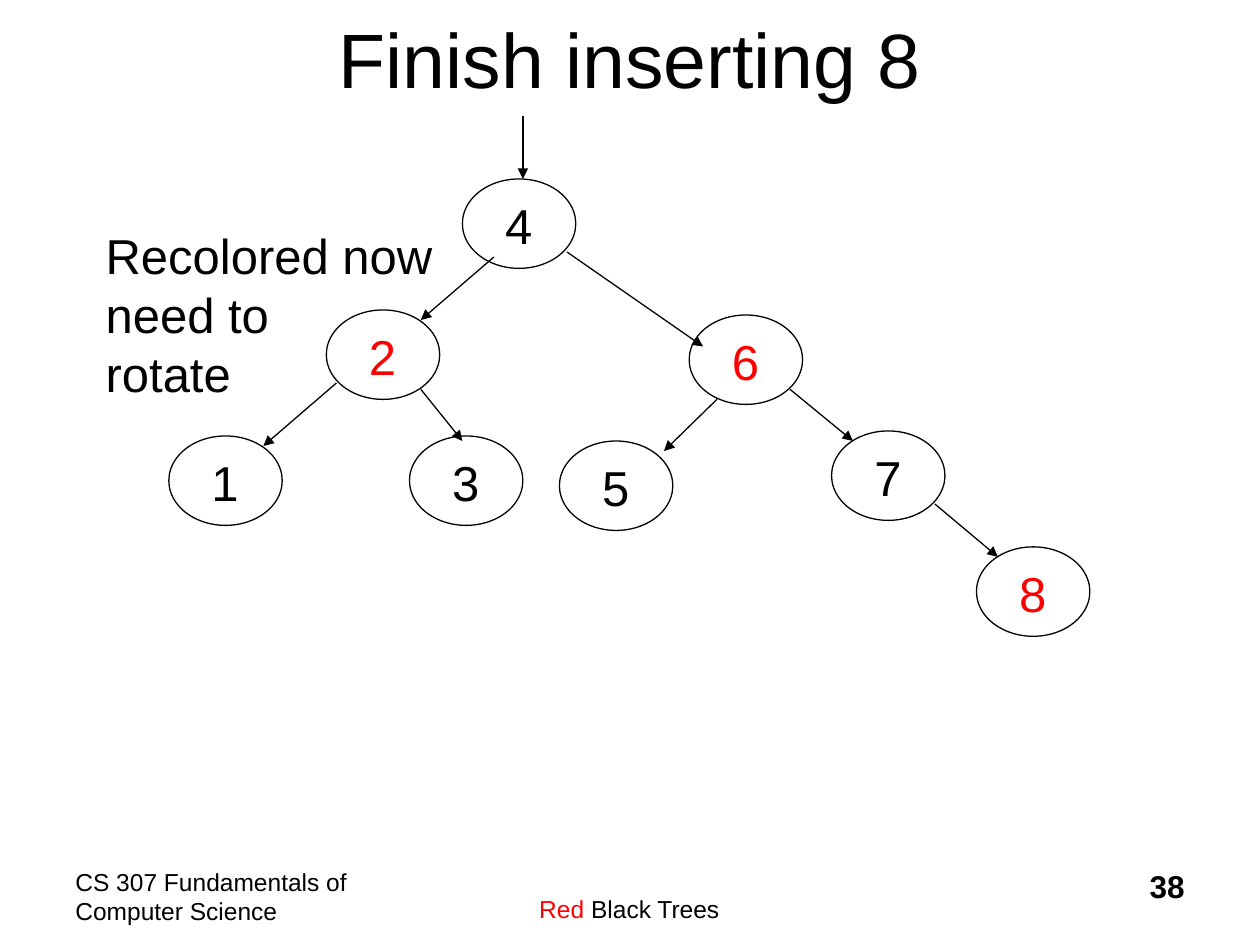
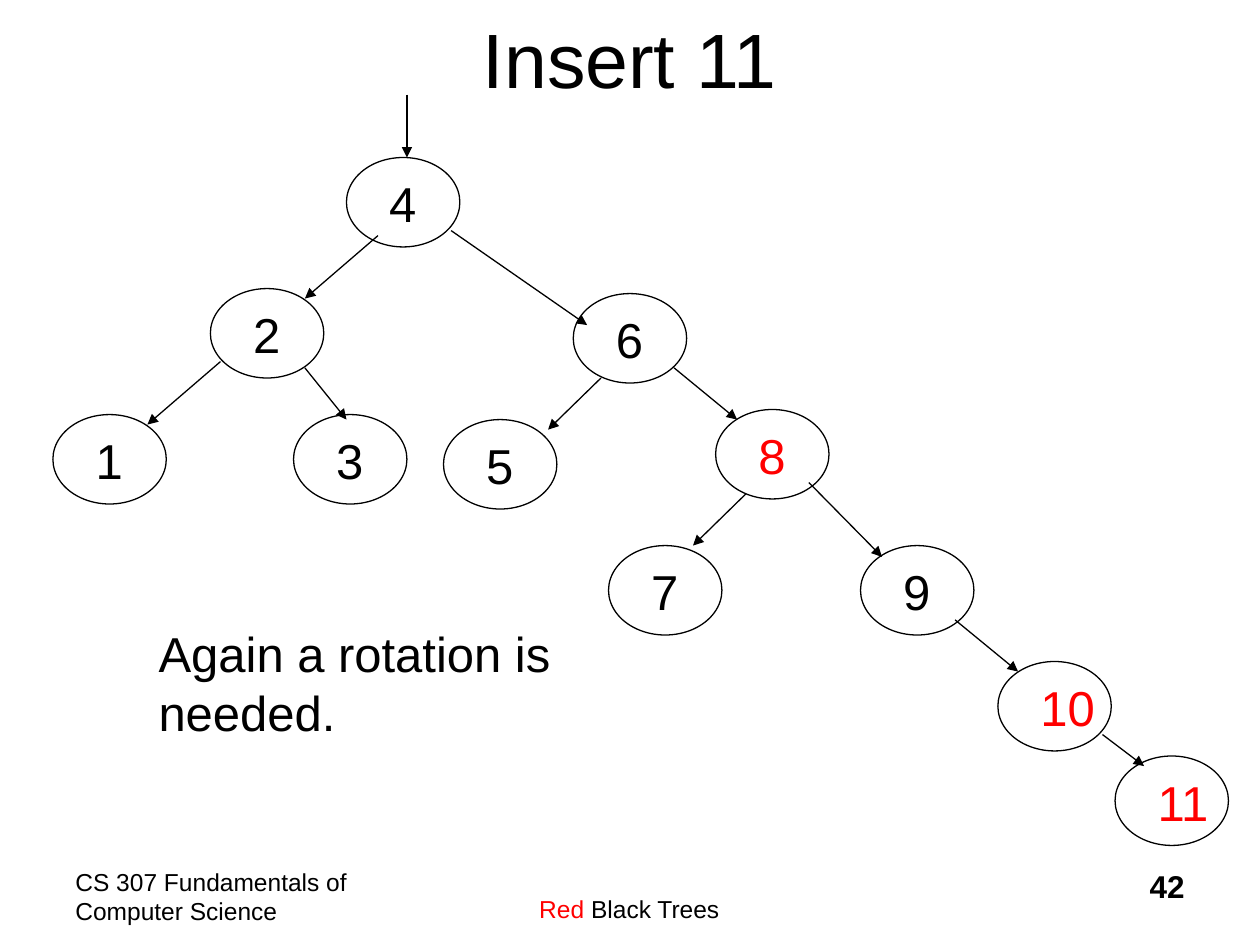
from pptx import Presentation
from pptx.dml.color import RGBColor
from pptx.enum.shapes import MSO_CONNECTOR, MSO_SHAPE
from pptx.enum.text import MSO_ANCHOR, MSO_AUTO_SIZE, PP_ALIGN
from pptx.oxml.ns import qn
from pptx.util import Inches, Pt
from lxml import etree

BLACK = RGBColor(0x00, 0x00, 0x00)
RED = RGBColor(0xFF, 0x00, 0x00)
FONT = "Arial"
LINE_WIDTH = Pt(0.75)
LEFT, CENTER, RIGHT = PP_ALIGN.LEFT, PP_ALIGN.CENTER, PP_ALIGN.RIGHT
TOP, MIDDLE, BOTTOM = MSO_ANCHOR.TOP, MSO_ANCHOR.MIDDLE, MSO_ANCHOR.BOTTOM
NO_FIT, GROW = MSO_AUTO_SIZE.NONE, MSO_AUTO_SIZE.SHAPE_TO_FIT_TEXT
ELLIPSE, STRAIGHT = MSO_SHAPE.OVAL, MSO_CONNECTOR.STRAIGHT
TITLE_ONLY = 5

NODE_SIZE = (0.9, 0.71)
LABEL_OFFSET = (0.24, 0.08)
LABEL_WIDTHS = {1: 0.41, 2: 0.63}
LABEL_HEIGHT = 0.57

SHARED_NODES = {"4": (0, 0), "2": (-1.08, 1.04), "3": (-0.42, 2.04),
                "6": (1.8, 1.08), "5": (0.77, 2.08), "1": (-2.33, 2.04)}
RIGHT_GRANDCHILD = (2.93, 2)
SHARED_EDGES = [
    (0.48, -0.5, 0.48, 0),
    (0.25, 0.62, -0.33, 1.12),
    (0.83, 0.58, 1.91, 1.33),
    (2.02, 1.75, 1.6, 2.16),
    (2.6, 1.67, 3.1, 2.08),
    (-1, 1.62, -1.58, 2.12),
    (-0.33, 1.67, 0, 2.08),
]

SLIDES = [
    {
        "title": "Finish inserting 8",
        "number": "38",
        "root": (3.67, 1.42),
        "nodes": {"7": RIGHT_GRANDCHILD, "8": (4.08, 2.92)},
        "edges": [(3.75, 2.58, 4.25, 3)],
        "red": {"2", "6", "8"},
        "note": ["Recolored now", "need to", "rotate"],
        "note_box": (0.74, 1.74, 2.79, 1.5),
    },
    {
        "title": "Insert 11",
        "number": "42",
        "root": (2.75, 1.25),
        "nodes": {"8": RIGHT_GRANDCHILD, "7": (2.08, 3.08), "9": (4.08, 3.08),
                  "10": (5.17, 4), "11": (6.1, 4.75)},
        "edges": [(3.17, 2.67, 2.75, 3.08), (3.67, 2.58, 4.25, 3.17),
                  (4.83, 3.67, 5.33, 4.08), (6, 4.58, 6.33, 4.83)],
        "red": {"8", "10", "11"},
        "note": ["Again a rotation is", "needed."],
        "note_box": (1.16, 4.9, 3.31, 1.04),
    },
]


def inches(*lengths):
    """Convert numbers to lengths in inches."""
    return [Inches(length) for length in lengths]


def format_run(run, size, color=BLACK, bold=False):
    """Give a run its font, size and colour."""
    run.font.name = FONT
    run.font.size = Pt(size)
    run.font.bold = bold
    run.font.color.rgb = color


def add_text(shapes, box, pieces, size, align=LEFT, bold=False):
    """Add a wrapping text box with one paragraph of (text, colour) pieces."""
    textbox = shapes.add_textbox(*inches(*box))
    frame = textbox.text_frame
    frame.word_wrap = True
    frame.auto_size = NO_FIT
    frame.vertical_anchor = TOP
    paragraph = frame.paragraphs[0]
    paragraph.alignment = align
    for text, color in pieces:
        run = paragraph.add_run()
        run.text = text
        format_run(run, size, color, bold)
    return frame


def add_growing_text(shapes, box, lines, color=BLACK):
    """Add unwrapped 28-point lines in a box that grows with them."""
    frame = add_text(shapes, box, [(lines[0], color)], 28)
    frame.word_wrap = False
    frame.auto_size = GROW
    paragraph = frame.paragraphs[0]
    paragraph.space_before = Pt(7)
    for line in lines[1:]:
        paragraph.add_line_break()
        run = paragraph.add_run()
        run.text = line
        format_run(run, 28, color)


def add_title(slide, text):
    """Fill and place the title placeholder."""
    title = slide.shapes.title
    title.left, title.top, title.width, title.height = inches(0.75, -0.17, 8.5, 1.25)
    frame = title.text_frame
    frame.text = text
    frame.auto_size = NO_FIT
    frame.vertical_anchor = MIDDLE
    frame.paragraphs[0].alignment = CENTER
    format_run(frame.paragraphs[0].runs[0], 44)


def add_footer(slide, number, top=6.83, height=0.5):
    """Add the course, the topic and the slide number along the bottom."""
    add_text(slide.shapes, (0.5, top, 2.5, height),
             [("CS 307 Fundamentals of Computer Science", BLACK)], 14)
    topic = add_text(slide.shapes, (3.08, top, 3.83, height),
                     [("Red", RED), (" Black Trees", BLACK)], 14, CENTER)
    topic.vertical_anchor = BOTTOM
    topic.margin_bottom = 0
    add_text(slide.shapes, (7.42, top, 2.08, height), [(number, BLACK)], 18, RIGHT, True)


def add_node(slide, left, top, key, color):
    """Add a grouped ellipse and key."""
    group = slide.shapes.add_group_shape()
    ellipse = group.shapes.add_shape(ELLIPSE, *inches(left, top, *NODE_SIZE))
    ellipse.shadow.inherit = False
    ellipse.fill.background()
    ellipse.line.color.rgb = BLACK
    ellipse.line.width = LINE_WIDTH
    dx, dy = LABEL_OFFSET
    label_box = (left + dx, top + dy, LABEL_WIDTHS[len(key)], LABEL_HEIGHT)
    add_growing_text(group.shapes, label_box, [key], color)


def add_edge(slide, x1, y1, x2, y2):
    """Add a thin arrow between two points."""
    edge = slide.shapes.add_connector(STRAIGHT, *inches(x1, y1, x2, y2))
    edge.line.color.rgb = BLACK
    edge.line.width = LINE_WIDTH
    properties = edge.element.spPr
    etree.SubElement(properties.find(qn("a:ln")), qn("a:tailEnd"), type="triangle")
    etree.SubElement(properties, qn("a:effectLst"))


def add_tree(slide, root, nodes, edges, red):
    """Draw the shared tree and its extra nodes relative to the root's corner."""
    left, top = root
    for key, (dx, dy) in {**SHARED_NODES, **nodes}.items():
        add_node(slide, left + dx, top + dy, key, RED if key in red else BLACK)
    for x1, y1, x2, y2 in SHARED_EDGES + edges:
        add_edge(slide, left + x1, top + y1, left + x2, top + y2)


def add_tree_slide(presentation, content):
    """Add a slide with a title, a tree, a note and the footer."""
    slide = presentation.slides.add_slide(presentation.slide_layouts[TITLE_ONLY])
    add_footer(slide, content["number"])
    add_title(slide, content["title"])
    add_tree(slide, content["root"], content["nodes"], content["edges"], content["red"])
    add_growing_text(slide.shapes, content["note_box"], content["note"])


def main():
    """Build and save the presentation."""
    presentation = Presentation()
    presentation.slide_width, presentation.slide_height = inches(10, 7.5)
    for content in SLIDES:
        add_tree_slide(presentation, content)
    presentation.save("out.pptx")


if __name__ == "__main__":
    main()
